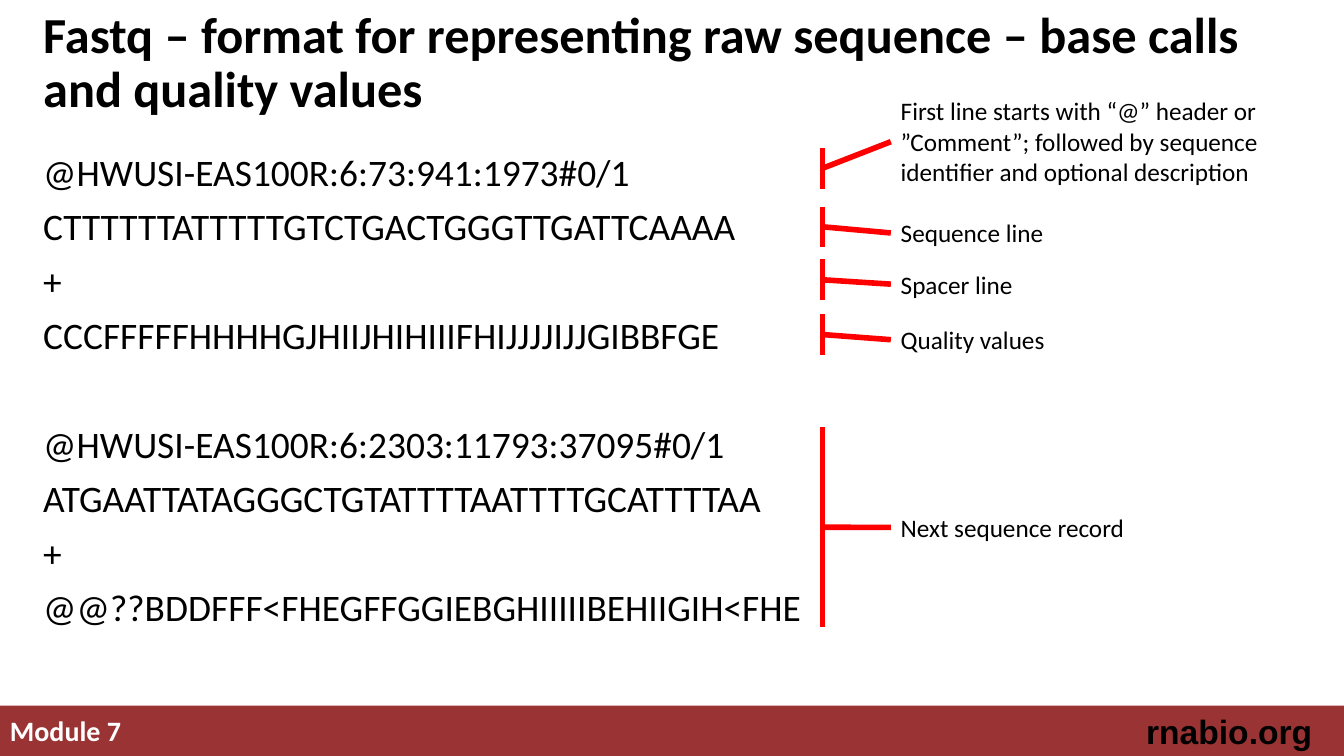
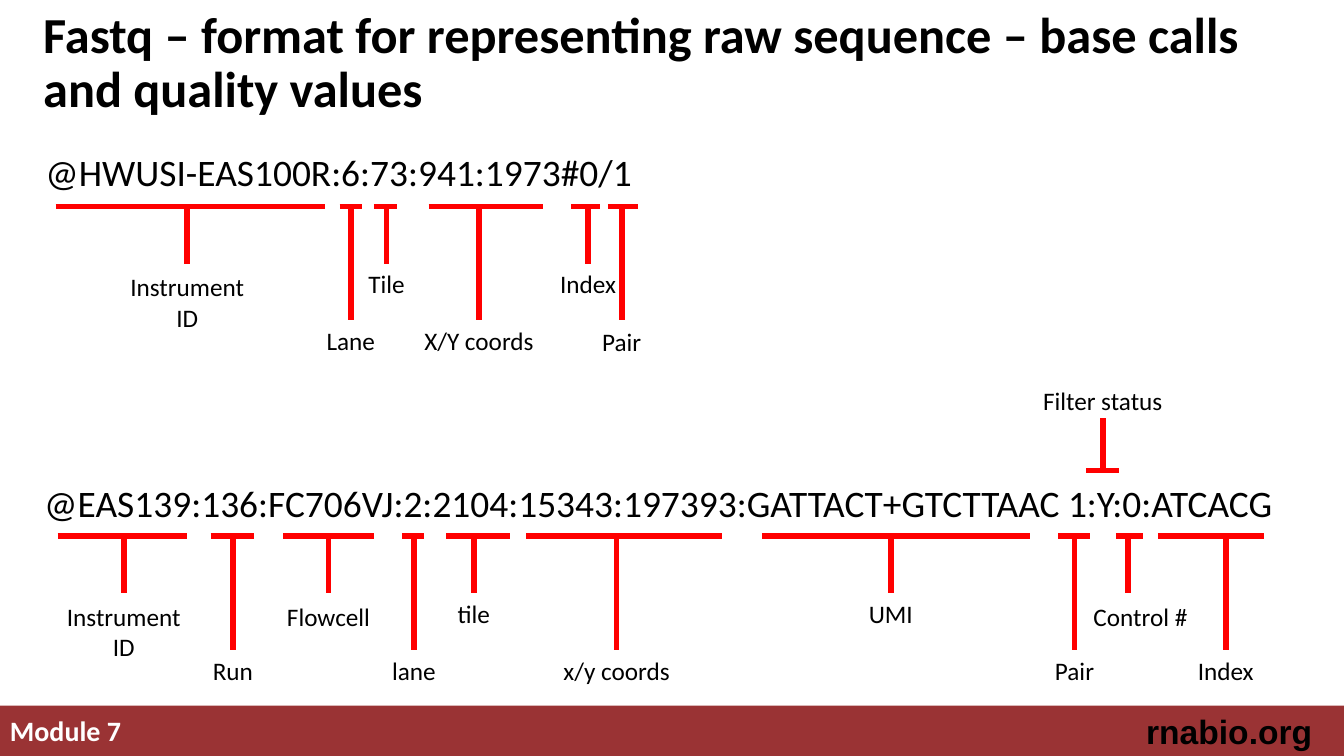
"""Builds two slides that explain the records and headers of the FASTQ format."""
from lxml import etree
from pptx import Presentation
from pptx.dml.color import RGBColor
from pptx.enum.shapes import MSO_CONNECTOR, MSO_SHAPE
from pptx.enum.text import MSO_ANCHOR, PP_ALIGN
from pptx.oxml.ns import qn
from pptx.util import Cm, Pt

LEFT, CENTER, RIGHT = PP_ALIGN.LEFT, PP_ALIGN.CENTER, PP_ALIGN.RIGHT
TOP, MIDDLE = MSO_ANCHOR.TOP, MSO_ANCHOR.MIDDLE
STRAIGHT = MSO_CONNECTOR.STRAIGHT
RECTANGLE = MSO_SHAPE.RECTANGLE

COLORS = {"band": "9A3334", "mark": "FF0000", "text": "000000", "light": "FFFFFF"}
WIDTH, HEIGHT = 33.87, 19.05
TITLE = "Fastq – format for representing raw sequence – base calls and quality values"
HEADER = "@HWUSI-EAS100R:6:73:941:1973#0/1"
LONG_HEADER = "@EAS139:136:FC706VJ:2:2104:15343:197393:GATTACT+GTCTTAAC 1:Y:0:ATCACG"

RECORDS = [
    [HEADER,
     "CTTTTTTATTTTTGTCTGACTGGGTTGATTCAAAA",
     "+",
     "CCCFFFFFHHHHGJHIIJHIHIIIFHIJJJJIJJGIBBFGE"],
    ["@HWUSI-EAS100R:6:2303:11793:37095#0/1",
     "ATGAATTATAGGGCTGTATTTTAATTTTGCATTTTAA",
     "+",
     "@@??BDDFFF<FHEGFFGGIEBGHIIIIIBEHIIGIH<FHE"],
]

NOTES = [
    ("First line starts with “@” header or ”Comment”; followed by sequence "
     "identifier and optional description", 2.29, 3, 3.73, 4.75),
    ("Sequence line", 5.36, 1, 5.21, 6.22),
    ("Spacer line", 6.65, 1, 6.53, 7.57),
    ("Quality values", 8.05, 1, 7.92, 8.94),
    ("Next sequence record", 12.78, 1, 10.77, 15.8),
]

SHORT, LONG = 1.44, 2.87
HEADER_FIELDS = [
    ("Instrument ID", 1.4, 8.2, 4.72, SHORT, 0.08),
    ("Lane", 8.56, 9.12, 8.84, LONG, 0),
    ("Tile", 9.42, 10.01, 9.74, SHORT, 0),
    ("X/Y coords", 10.8, 13.69, 12.07, LONG, 0),
    ("Index", 14.4, 15.11, 14.82, SHORT, 0),
    ("Pair", 15.32, 16.08, 15.67, LONG, 0.03),
]
LONG_HEADER_FIELDS = [
    ("Instrument ID", 1.45, 4.72, 3.12, SHORT, 0.08),
    ("Run", 5.31, 6.4, 5.87, LONG, 0),
    ("Flowcell", 7.14, 9.42, 8.28, SHORT, 0.08),
    ("lane", 10.13, 10.69, 10.43, LONG, 0),
    ("tile", 11.25, 12.85, 11.94, SHORT, 0),
    ("x/y coords", 13.26, 18.19, 15.54, LONG, 0),
    ("UMI", 19.2, 25.96, 22.45, SHORT, 0),
    ("Pair", 26.67, 27.48, 27.08, LONG, 0),
    ("Control #", 28.12, 28.8, 28.42, SHORT, 0.08, 0.32),
    ("Index", 29.18, 31.85, 30.89, LONG, 0),
]


class Deck:
    """Holds the shared style and the slide being built."""

    def __init__(self):
        """Start an empty widescreen presentation."""
        self.show = Presentation()
        self.show.slide_width, self.show.slide_height = Cm(WIDTH), Cm(HEIGHT)
        self.slide = None

    def new_slide(self, title):
        """Add a slide with the footer band and a title."""
        self.slide = self.show.slides.add_slide(self.show.slide_layouts[6])
        band = self.slide.shapes.add_shape(
            RECTANGLE, 0, Cm(17.78), Cm(WIDTH), Cm(1.27))
        band.shadow.inherit = False
        band.fill.solid()
        band.fill.fore_color.rgb = RGBColor.from_string(COLORS["band"])
        band.line.fill.background()
        self.text(["Module 7"], 0, 17.86, 18.62, 1.09, 20, color="light", bold=True)
        self.text(["rnabio.org"], 26.77, 17.78, 6.55, 1.27, 24,
                  align=RIGHT, font="Arial", bold=True)
        self.text([title], 0.84, 0.3, 32.46, 2.64, 36,
                  bold=True, anchor=MIDDLE, spacing=0.9)

    def text(self, lines, left, top, width, height, size, align=LEFT, color="text",
             font="Calibri", bold=False, anchor=TOP, spacing=1.0):
        """Write a wrapped text box, one paragraph per line, and return its frame."""
        box = self.slide.shapes.add_textbox(Cm(left), Cm(top), Cm(width), Cm(height))
        frame = box.text_frame
        frame.word_wrap = True
        frame.vertical_anchor = anchor
        frame.text = "\n".join(lines)
        for paragraph in frame.paragraphs:
            paragraph.alignment = align
            paragraph.line_spacing = spacing
            for run in paragraph.runs:
                run.font.size = Pt(size)
                run.font.name = font
                run.font.bold = bold
                run.font.color.rgb = RGBColor.from_string(COLORS[color])
        return frame

    def sequence(self, lines, left, top, width, height, align=LEFT):
        """Write lines of sequence data and return their frame."""
        return self.text(lines, left, top, width, height, 26.7, align, spacing=0.9)

    def records(self, records):
        """Write the sequence records with a gap of one line between them."""
        lines = [line for record in records for line in record]
        frame = self.sequence(lines, 0.84, 3.76, 22.3, 13.39)
        for index, paragraph in enumerate(frame.paragraphs[1:], 1):
            starts_record = index % len(records[0]) == 0
            paragraph.space_before = Pt(49 if starts_record else 10)

    def mark(self, x1, y1, x2, y2):
        """Draw a red annotation line."""
        line = self.slide.shapes.add_connector(
            STRAIGHT, Cm(x1), Cm(y1), Cm(x2), Cm(y2))
        line.line.color.rgb = RGBColor.from_string(COLORS["mark"])
        line.line.width = Pt(4)
        etree.SubElement(line._element.spPr, qn("a:effectLst"))

    def note(self, words, top, rows, spine_top, spine_bottom):
        """Join a spine beside the data to a note, middle to middle."""
        spine, note_left = 20.73, 22.45
        height = 0.25 + 0.77 * rows
        self.mark(spine, spine_top, spine, spine_bottom)
        self.mark(note_left, top + height / 2, spine, (spine_top + spine_bottom) / 2)
        self.text([words], note_left, top, 10.59, height, 18)

    def label(self, words, center, top):
        """Write a field label centred on a position."""
        width = 4
        self.text([words], center - width / 2, top, width, 1.02, 18, CENTER)

    def field(self, bar_y, words, start, end, stem, length, gap, shift=0):
        """Underline a header field and lead a stem down to its label."""
        self.mark(start, bar_y, end, bar_y)
        self.mark(stem, bar_y, stem, bar_y + length)
        self.label(words, stem + shift, bar_y + length + gap)


def main():
    """Build both slides and save them."""
    deck = Deck()

    deck.new_slide(TITLE)
    deck.records(RECORDS)
    for note in NOTES:
        deck.note(*note)

    deck.new_slide(TITLE)
    deck.sequence([HEADER], 0.25, 3.76, 16.59, 2.44, CENTER)
    deck.sequence([LONG_HEADER], 0.38, 12.09, 32.46, 2.44, CENTER)
    for bar_y, fields in ((5.2, HEADER_FIELDS), (13.51, LONG_HEADER_FIELDS)):
        for field in fields:
            deck.field(bar_y, *field)
    filter_x, filter_y = 27.79, 11.86
    deck.mark(filter_x - 0.41, filter_y, filter_x + 0.41, filter_y)
    deck.mark(filter_x, filter_y, filter_x, 10.54)
    deck.label("Filter status", filter_x, 9.58)

    deck.show.save("out.pptx")


if __name__ == "__main__":
    main()
